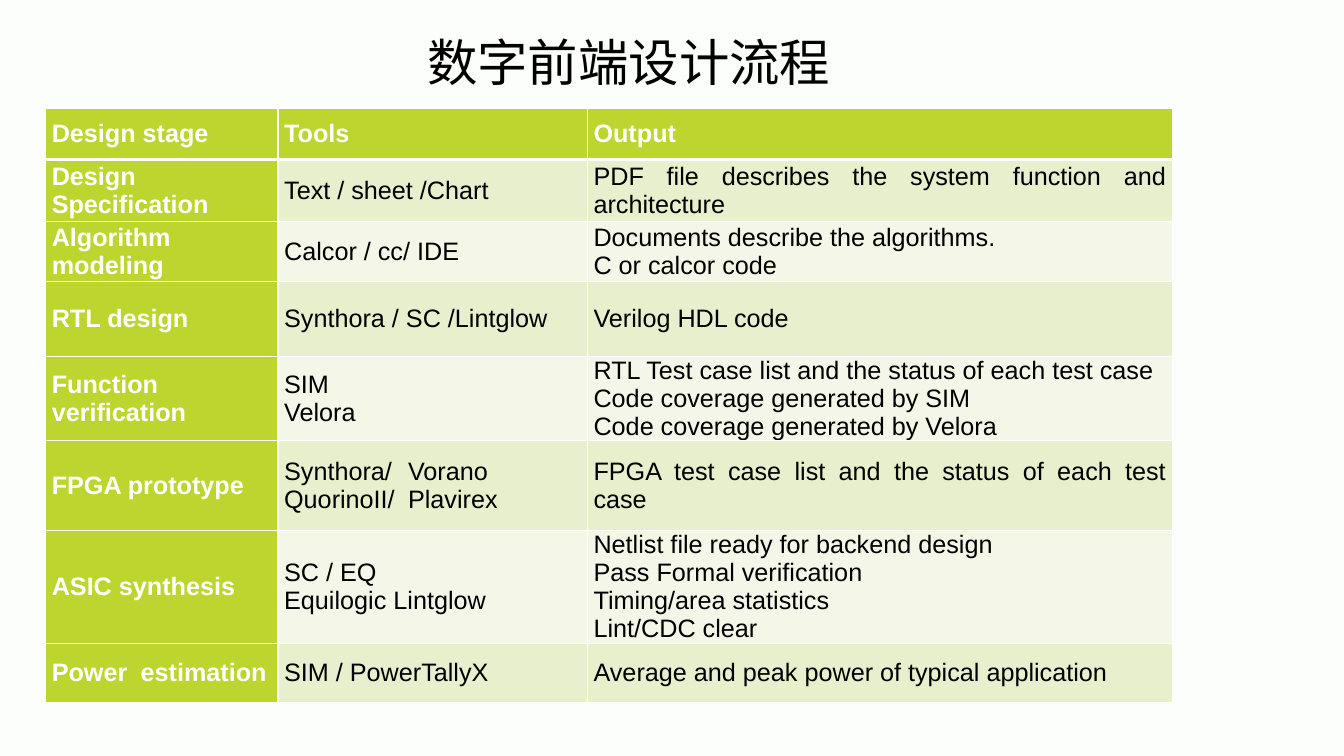
from lxml import etree
from pptx import Presentation
from pptx.dml.color import RGBColor
from pptx.enum.text import MSO_ANCHOR, PP_ALIGN
from pptx.oxml.ns import qn
from pptx.util import Pt

COLORS = {
    "background": "FCFEFC",
    "green": "BED52F",
    "dark_band": "E8EFCD",
    "light_band": "F4F7E8",
    "white": "FFFFFF",
    "black": "000000",
}
BODY_FONT = "Arial"
TITLE_FONT = "Noto Sans CJK SC"

COLUMN_WIDTHS = [166, 221, 418]
ROW_HEIGHTS = [36.5, 44.5, 42.5, 53.5, 60.5, 64, 80.5, 42.5]
LINE_PITCH = 20
TAB_STOPS = {0: 63.5, 1: 88.5}  # by column

# Design stage, tools, output; a new line starts a paragraph
FLOW = [
    ("Design stage", "Tools", "Output"),
    ("Design Specification", "Text / sheet /Chart",
     "PDF file describes the system function and architecture"),
    ("Algorithm modeling", "Calcor / cc/ IDE",
     "Documents describe the algorithms.\nC or calcor code"),
    ("RTL design", "Synthora / SC /Lintglow", "Verilog HDL code"),
    ("Function verification", "SIM\nVelora",
     "RTL Test case list and the status of each test case\n"
     "Code coverage generated by SIM\nCode coverage generated by Velora"),
    ("FPGA prototype", "Synthora/\tVorano\nQuorinoII/\tPlavirex",
     "FPGA test case list and the status of each test case"),
    ("ASIC synthesis", "SC / EQ\nEquilogic Lintglow",
     "Netlist file ready for backend design\nPass Formal verification\n"
     "Timing/area statistics\nLint/CDC clear"),
    ("Power\testimation", "SIM / PowerTallyX",
     "Average and peak power of typical application"),
]


def rgb(name):
    return RGBColor.from_string(COLORS[name])


def style_run(run, font, size, color, bold=False):
    run.font.name = font
    run.font.size = Pt(size)
    run.font.bold = bold
    run.font.color.rgb = rgb(color)
    east_asian = etree.SubElement(run.font._element, qn("a:ea"))
    east_asian.set("typeface", font)


def add_title(slide, text):
    box = slide.shapes.add_textbox(Pt(142.5), Pt(18.5), Pt(613), Pt(50))
    frame = box.text_frame
    frame.word_wrap = True
    frame.vertical_anchor = MSO_ANCHOR.MIDDLE
    paragraph = frame.paragraphs[0]
    paragraph.alignment = PP_ALIGN.CENTER
    run = paragraph.add_run()
    run.text = text
    style_run(run, TITLE_FONT, 36, "black")


def set_borders(cell, widths):
    properties = cell._tc.get_or_add_tcPr()
    for side, width in widths.items():
        line = etree.SubElement(properties, qn("a:ln" + side), w=str(Pt(width)))
        fill = etree.SubElement(line, qn("a:solidFill"))
        etree.SubElement(fill, qn("a:srgbClr"), val=COLORS["white"])


def add_tab_stop(paragraph, position):
    tabs = etree.SubElement(paragraph._p.get_or_add_pPr(), qn("a:tabLst"))
    etree.SubElement(tabs, qn("a:tab"), pos=str(Pt(position)), algn="l")


def fill_cell(cell, text, row, column):
    heading = row == 0 or column == 0
    band = "dark_band" if row % 2 else "light_band"
    set_borders(cell, {"L": 1, "R": 1, "T": 3 if row == 1 else 1,
                       "B": 3 if row == 0 else 1})
    cell.fill.solid()
    cell.fill.fore_color.rgb = rgb("green" if heading else band)
    cell.margin_left = cell.margin_right = Pt(4.5)
    cell.margin_top = cell.margin_bottom = 0
    cell.vertical_anchor = MSO_ANCHOR.MIDDLE

    frame = cell.text_frame
    for index, line in enumerate(text.split("\n")):
        paragraph = frame.add_paragraph() if index else frame.paragraphs[0]
        paragraph.alignment = PP_ALIGN.JUSTIFY
        paragraph.line_spacing = Pt(LINE_PITCH)
        if "\t" in line:
            add_tab_stop(paragraph, TAB_STOPS[column])
        run = paragraph.add_run()
        run.text = line
        style_run(run, BODY_FONT, 18, "white" if heading else "black", heading)


def add_flow_table(slide):
    table = slide.shapes.add_table(
        len(FLOW), len(COLUMN_WIDTHS), Pt(32.5), Pt(77.5),
        Pt(sum(COLUMN_WIDTHS)), Pt(sum(ROW_HEIGHTS))).table
    for column, width in zip(table.columns, COLUMN_WIDTHS):
        column.width = Pt(width)
    for row, height in zip(table.rows, ROW_HEIGHTS):
        row.height = Pt(height)
    for row, texts in enumerate(FLOW):
        for column, text in enumerate(texts):
            fill_cell(table.cell(row, column), text, row, column)


def main():
    presentation = Presentation()
    presentation.slide_width = Pt(960)
    presentation.slide_height = Pt(540)
    slide = presentation.slides.add_slide(presentation.slide_layouts[6])

    # Background
    slide.background.fill.solid()
    slide.background.fill.fore_color.rgb = rgb("background")

    # Title and design flow
    add_title(slide, "数字前端设计流程")
    add_flow_table(slide)
    presentation.save("out.pptx")


main()
